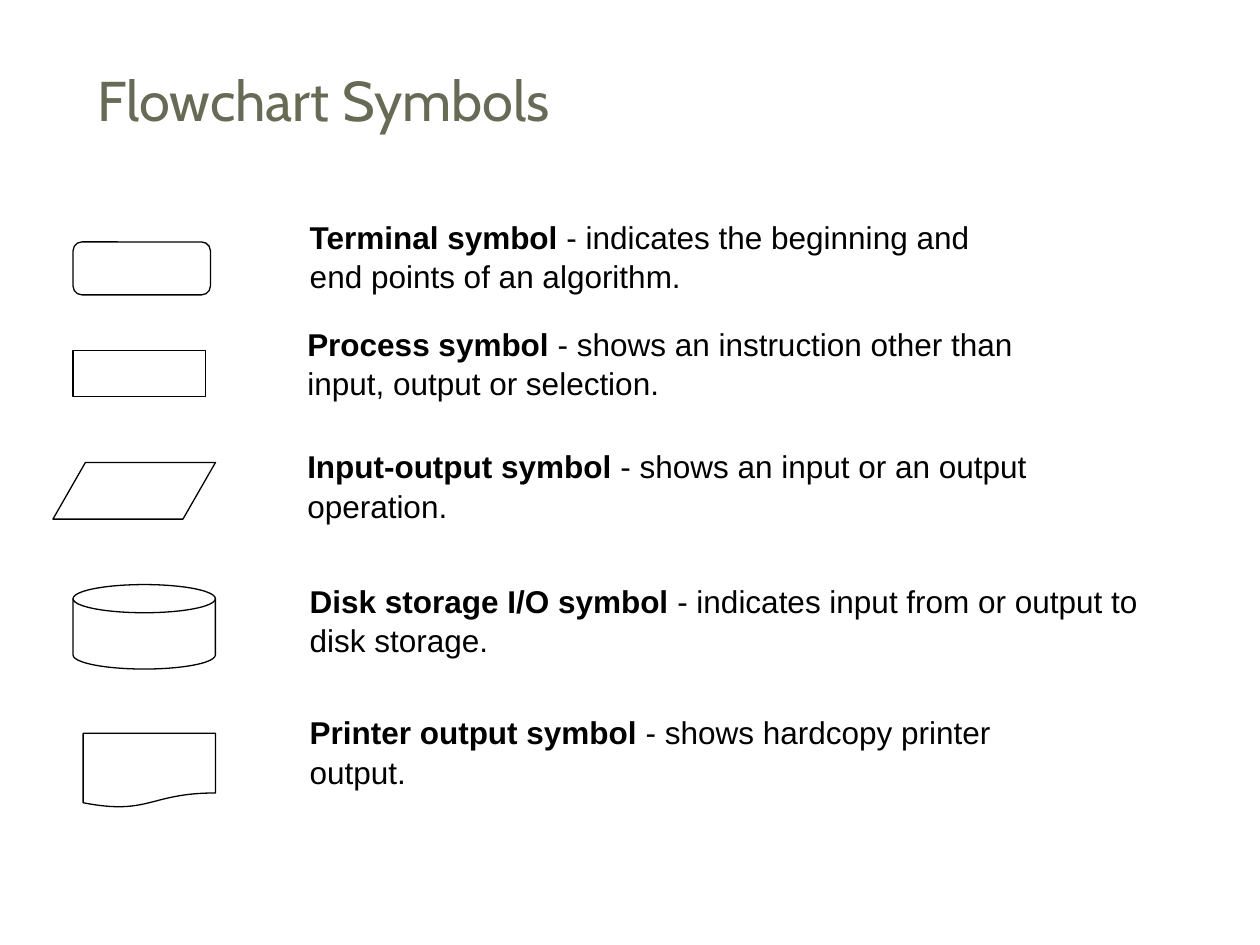
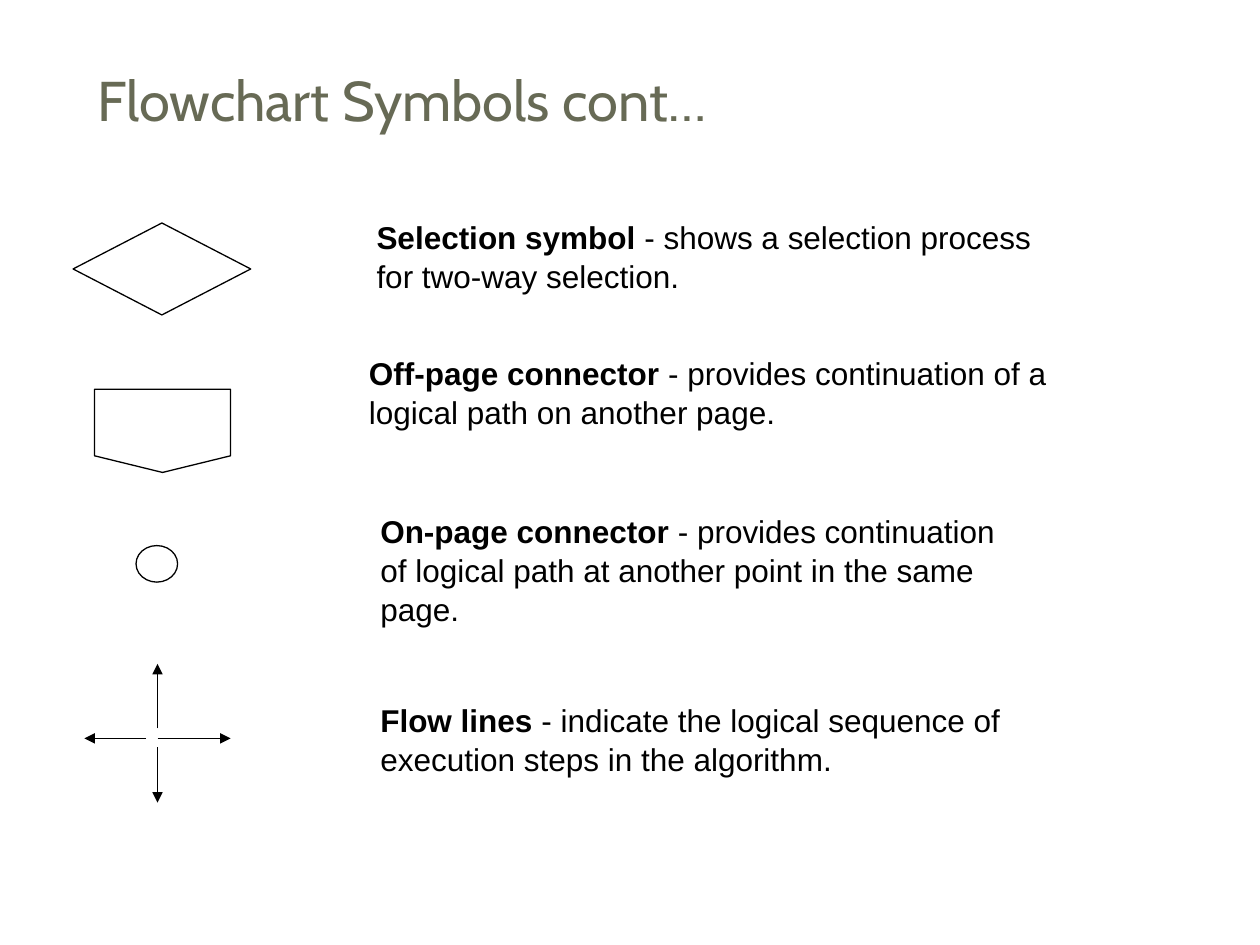
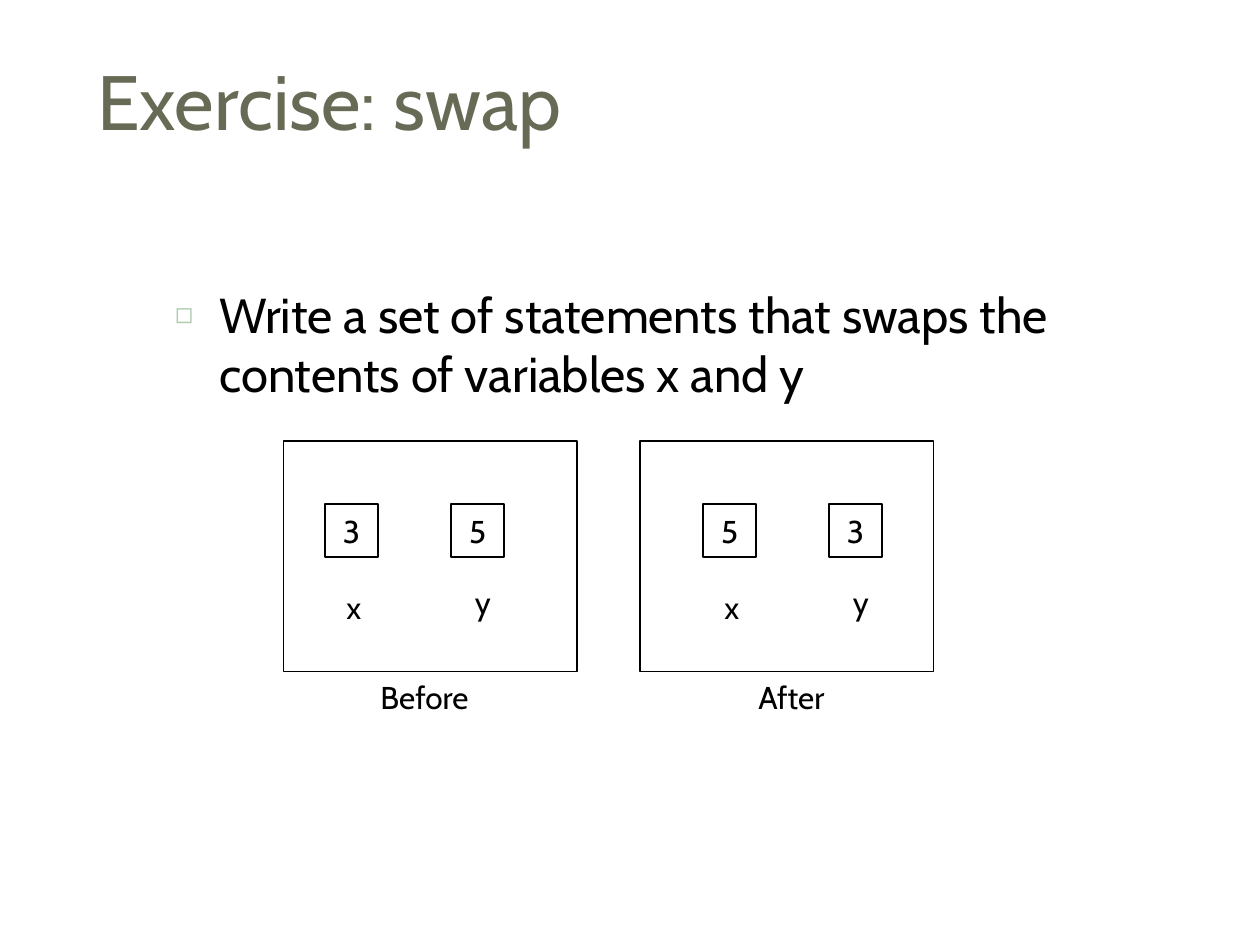
from lxml.etree import SubElement
from pptx import Presentation
from pptx.dml.color import RGBColor
from pptx.enum.shapes import MSO_CONNECTOR, MSO_SHAPE as SHAPE
from pptx.enum.text import MSO_ANCHOR, PP_ALIGN
from pptx.oxml.ns import qn
from pptx.util import Pt

PX = 9144  # 100 px to the inch
COLORS = {name: RGBColor.from_string(value) for name, value in {
    "title": "676A55", "ink": "000000"}.items()}
BULLET_COLOR = "B0CCB0"
HEAD_FONT, TEXT_FONT = "Cabin", "Arial"


def style(tf, font, size, color="ink"):
    """Give every run in a text frame the same font, size and colour."""
    for p in tf.paragraphs:
        for r in p.runs:
            r.font.name = font
            r.font.size = Pt(size)
            r.font.color.rgb = COLORS[color]


def outline(s, kind, box):
    """Add an unfilled shape with a thin black line."""
    sp = s.shapes.add_shape(kind, *(v * PX for v in box))
    sp.shadow.inherit = False
    sp.fill.background()
    sp.line.color.rgb = COLORS["ink"]
    sp.line.width = Pt(0.75)
    return sp


prs = Presentation()
prs.slide_width, prs.slide_height = 1000 * PX, 750 * PX

# Titles
TITLE_ONLY, TITLE_AND_BODY = prs.slide_layouts[5], prs.slide_layouts[1]
slides = []
for layout, title, size in [
    (TITLE_ONLY, "Flowchart Symbols", 32),
    (TITLE_ONLY, "Flowchart Symbols cont…", 32),
    (TITLE_AND_BODY, "Exercise: swap", 44),
]:
    s = prs.slides.add_slide(layout)
    sp = s.shapes.title
    sp.left, sp.top, sp.width, sp.height = (v * PX for v in (67, 25, 892, 108))
    tf = sp.text_frame
    tf.text = title
    tf.vertical_anchor = MSO_ANCHOR.MIDDLE
    tf.paragraphs[0].alignment = PP_ALIGN.LEFT
    style(tf, HEAD_FONT, size, "title")
    slides.append(s)
symbols, more_symbols, exercise = slides

# Symbols and their descriptions: slide, shape, shape box, text box, term, lines
for s, kind, symbol_box, text_box, term, lines in [
    (symbols, SHAPE.FLOWCHART_ALTERNATE_PROCESS, (58, 192, 109, 42), (236, 167, 665, 90),
     "Terminal symbol", [" - indicates the beginning and", "end points of an algorithm."]),
    (symbols, SHAPE.FLOWCHART_PROCESS, (58, 278, 105, 37), (234, 252, 682, 90),
     "Process symbol", [" - shows an instruction other than", "input, output or selection."]),
    (symbols, SHAPE.FLOWCHART_DATA, (42, 367, 129, 45), (234, 349, 721, 90),
     "Input-output symbol", [" - shows an input or an output", "operation."]),
    (symbols, SHAPE.FLOWCHART_MAGNETIC_DISK, (58, 464, 113, 67), (236, 456, 683, 90),
     "Disk storage I/O symbol", [" - indicates input from or output to disk storage."]),
    (symbols, SHAPE.FLOWCHART_DOCUMENT, (66, 582, 105, 59), (236, 560, 677, 90),
     "Printer output symbol", [" - shows hardcopy printer", "output."]),
    (more_symbols, SHAPE.FLOWCHART_DECISION, (58, 177, 141, 73), (289, 167, 627, 90),
     "Selection symbol", [" - shows a selection process", "for two-way selection."]),
    (more_symbols, SHAPE.FLOWCHART_OFFPAGE_CONNECTOR, (75, 309, 108, 66), (283, 275, 625, 90),
     "Off-page connector", [" - provides continuation of a logical path on another page."]),
    (more_symbols, SHAPE.FLOWCHART_CONNECTOR, (108, 433, 33, 29), (292, 400, 609, 130),
     "On-page connector", [" - provides continuation",
                           "of logical path at another point in the same", "page."]),
    (more_symbols, None, None, (292, 550, 611, 90),
     "Flow lines", [" - indicate the logical sequence of", "execution steps in the algorithm."]),
]:
    if kind is not None:
        outline(s, kind, symbol_box)
    tf = s.shapes.add_textbox(*(v * PX for v in text_box)).text_frame
    tf.word_wrap = True
    p = tf.paragraphs[0]
    p.text = term
    p.runs[0].font.bold = True
    p.add_run().text = lines[0]
    for line in lines[1:]:
        tf.add_paragraph().text = line
    for p in tf.paragraphs:
        p.line_spacing = 1.04
    style(tf, TEXT_FONT, 18)

# Flow lines pointing up, right, down and left
for ends in [(125, 578, 125, 527), (125, 586, 183, 586),
             (125, 593, 125, 637), (116, 586, 67, 586)]:
    arrow = more_symbols.shapes.add_connector(MSO_CONNECTOR.STRAIGHT, *(v * PX for v in ends))
    arrow.line.color.rgb = COLORS["ink"]
    arrow.line.width = Pt(0.75)
    SubElement(arrow.line._get_or_add_ln(), qn("a:tailEnd"), type="triangle")
    SubElement(arrow._element.spPr, qn("a:effectLst"))

# Exercise text
body = exercise.placeholders[1]
body.left, body.top, body.width, body.height = (v * PX for v in (129, 221, 850, 113))
tf = body.text_frame
tf.text = "Write a set of statements that swaps the contents of variables x and y"
style(tf, HEAD_FONT, 28)
p = tf.paragraphs[0]
p.space_before = Pt(7)
pPr = p._p.get_or_add_pPr()
pPr.set("marL", str(35 * PX))
pPr.set("indent", str(-35 * PX))
SubElement(SubElement(pPr, qn("a:buClr")), qn("a:srgbClr"), val=BULLET_COLOR)
SubElement(pPr, qn("a:buSzPct"), val="60000")
SubElement(pPr, qn("a:buChar"), char="◻")

# Variables before and after the swap
for caption, caption_width, frame_left, left, values in [
    ("Before", 92, 225, 258, "35"),
    ("After", 74, 508, 558, "53"),
]:
    outline(exercise, SHAPE.RECTANGLE, (frame_left, 350, 233, 183))
    for i, value in enumerate(values):
        tf = outline(exercise, SHAPE.RECTANGLE, (left + 100 * i, 400, 42, 42)).text_frame
        tf.text = value
        tf.word_wrap = False
        tf.vertical_anchor = MSO_ANCHOR.MIDDLE
        tf.paragraphs[0].alignment = PP_ALIGN.CENTER
        style(tf, HEAD_FONT, 18)
    for text, box in [
        ("x", (left + 7, 462, 32, 40)),
        ("y", (left + 109, 458, 33, 40)),
        (caption, (left + 34, 533, caption_width, 40)),
    ]:
        tf = exercise.shapes.add_textbox(*(v * PX for v in box)).text_frame
        tf.text = text
        tf.word_wrap = False
        style(tf, HEAD_FONT, 18)

prs.save("out.pptx")
